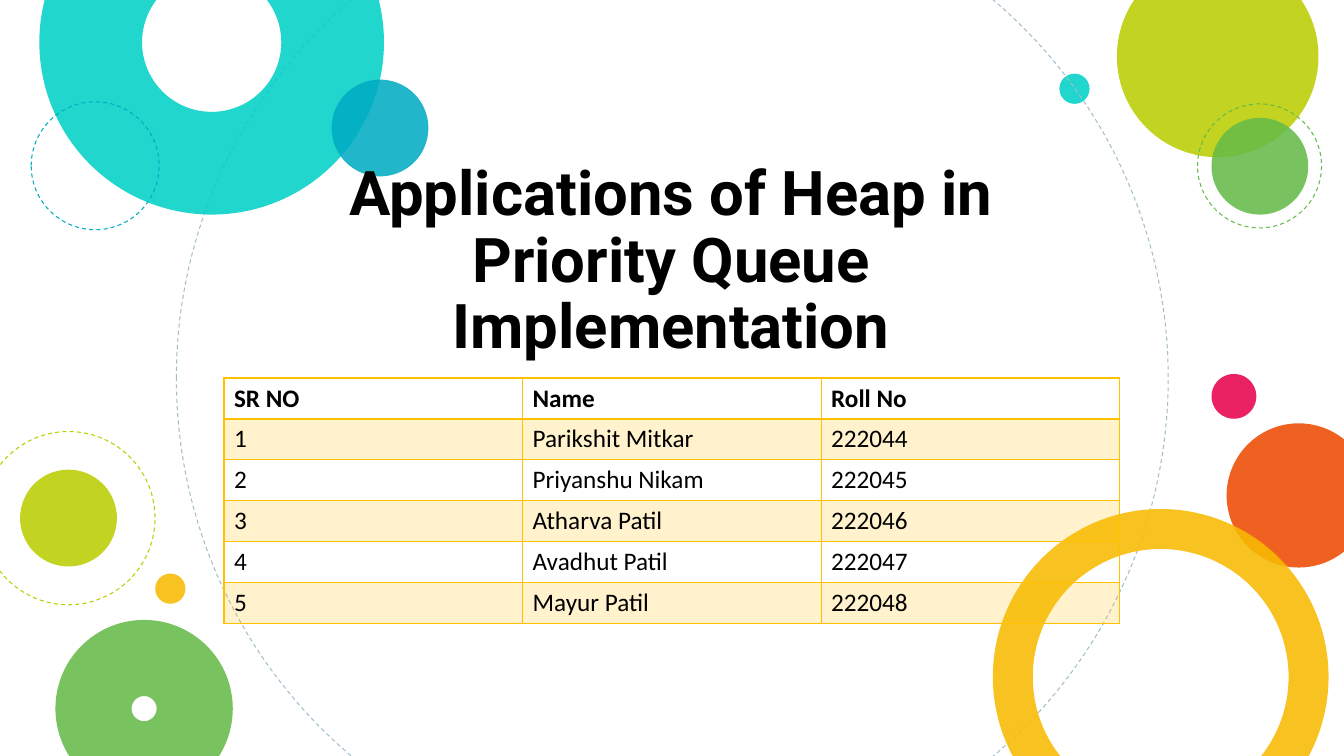
"""Build the title slide on heaps and priority queues, with its team table."""
from lxml import etree
from pptx import Presentation
from pptx.dml.color import RGBColor as RGB
from pptx.enum.dml import MSO_LINE_DASH_STYLE as DASH
from pptx.enum.shapes import MSO_SHAPE as SHAPE
from pptx.enum.text import MSO_ANCHOR as ANCHOR, PP_ALIGN as ALIGN
from pptx.oxml.ns import qn
from pptx.util import Pt

TITLE = "Applications of Heap in Priority Queue Implementation"
TITLE_BOX = (196.6, 30.2, 565.9, 314.6)
TITLE_INSET = 9.4
HEADER = ("SR NO", "Name", "Roll No")
TEAM = ["Parikshit Mitkar", "Priyanshu Nikam", "Atharva Patil", "Avadhut Patil", "Mayur Patil"]
FIRST_ROLL = 222044
TABLE_AT = (160, 270)
COL_W, ROW_H = 213.3, 29.2

THEME = {
    "teal": "00D1C6", "cyan": "00ACC3", "lime": "BBCD00", "green": "65BB48",
    "orange": "ED4A00", "amber": "F8BB00", "pink": "E8004C", "mist": "A1BECC",
    "grid": "FFC000", "text": "000000", "bubble_alpha": 87, "band_alpha": 20,
    "title": {"name": "Roboto", "size": Pt(44), "bold": True},
    "header": {"name": "Calibri", "size": Pt(18), "bold": True},
    "body": {"name": "Calibri", "size": Pt(18), "bold": False},
}

# style, colour, left, top, diameter, ring thickness
BUBBLES = [
    ("disc", "teal", 756.7, 52.6, 21.6, None),
    ("dash", "mist", 126, -84.2, 708.5, None),
    ("ring", "teal", 28.1, -92.9, 246.2, 0.298),
    ("disc", "orange", 876.2, 302.4, 103, None),
    ("disc", "cyan", 236.9, 56.9, 69.1, None),
    ("ring", "amber", 709.2, 363.6, 239.8, 0.119),
    ("disc", "lime", 14.4, 335.5, 69.1, None),
    ("ring", "green", 39.6, 442.8, 126.7, 0.429),
    ("disc", "pink", 865.4, 267.1, 32, None),
    ("disc", "lime", 797.8, -31.7, 144, None),
    ("disc", "green", 865.4, 84.2, 69.1, None),
    ("dash", "cyan", 22.3, 72.7, 91.4, None),
    ("dash", "lime", -13, 308.2, 123.8, None),
    ("dash", "green", 855.4, 74.2, 88.6, None),
    ("disc", "amber", 110.9, 409.7, 21.6, None),
]


def rgb(key):
    return RGB.from_string(THEME[key])


def apply(obj, values):
    for name, value in values.items():
        setattr(obj, name, value)


def paint(fill, key, alpha, parent):
    fill.solid()
    fill.fore_color.rgb = rgb(key)
    clr = parent.find(qn("a:solidFill")).find(qn("a:srgbClr"))
    etree.SubElement(clr, qn("a:alpha"), val=str(alpha * 1000))


def write(p, text, style):
    r = p.add_run()
    r.text = text
    apply(r.font, THEME[style])
    r.font.color.rgb = rgb("text")


def add_bubble(s, style, color, left, top, size, ring):
    kind = SHAPE.DONUT if style == "ring" else SHAPE.OVAL
    sp = s.shapes.add_shape(kind, Pt(left), Pt(top), Pt(size), Pt(size))
    sp.shadow.inherit = False
    if ring:
        sp.adjustments[0] = ring
    if style == "dash":
        sp.fill.background()
        sp.line.color.rgb = rgb(color)
        apply(sp.line, {"width": Pt(0.75), "dash_style": DASH.DASH})
    else:
        paint(sp.fill, color, THEME["bubble_alpha"], sp._element.spPr)
        sp.line.fill.background()


def add_title(s):
    tf = s.shapes.add_textbox(*map(Pt, TITLE_BOX)).text_frame
    apply(tf, {"word_wrap": True, "vertical_anchor": ANCHOR.MIDDLE})
    apply(tf, {f"margin_{side}": Pt(TITLE_INSET) for side in ("left", "top", "right", "bottom")})
    p = tf.paragraphs[0]
    apply(p, {"alignment": ALIGN.CENTER, "line_spacing": 0.9})
    write(p, TITLE, "title")


def add_borders(tc_pr, widths):
    for i, (side, width) in enumerate(widths.items()):
        ln = etree.Element(qn(f"a:ln{side}"), w=str(Pt(width)))
        fill = etree.SubElement(ln, qn("a:solidFill"))
        etree.SubElement(fill, qn("a:srgbClr"), val=THEME["grid"])
        tc_pr.insert(i, ln)


def add_team_table(s):
    rows = [HEADER] + [(str(i + 1), name, str(FIRST_ROLL + i)) for i, name in enumerate(TEAM)]
    size = (COL_W * len(HEADER), ROW_H * len(rows))
    table = s.shapes.add_table(len(rows), len(HEADER), *map(Pt, TABLE_AT + size)).table
    apply(table, {"first_row": False, "horz_banding": False})
    for col in table.columns:
        col.width = Pt(COL_W)
    for i, row in enumerate(rows):
        table.rows[i].height = Pt(ROW_H)
        for j, text in enumerate(row):
            cell = table.cell(i, j)
            write(cell.text_frame.paragraphs[0], text, "body" if i else "header")
            tc_pr = cell._tc.get_or_add_tcPr()
            if i % 2:
                paint(cell.fill, "grid", THEME["band_alpha"], tc_pr)
            else:
                cell.fill.background()
            add_borders(tc_pr, {"L": 1, "R": 1, "T": 2 if i == 1 else 1, "B": 1 if i else 2})


def main():
    prs = Presentation()
    apply(prs, {"slide_width": Pt(960), "slide_height": Pt(540)})
    s = prs.slides.add_slide(prs.slide_layouts[6])
    for bubble in BUBBLES:
        add_bubble(s, *bubble)
    add_title(s)
    add_team_table(s)
    prs.save("out.pptx")


if __name__ == "__main__":
    main()
